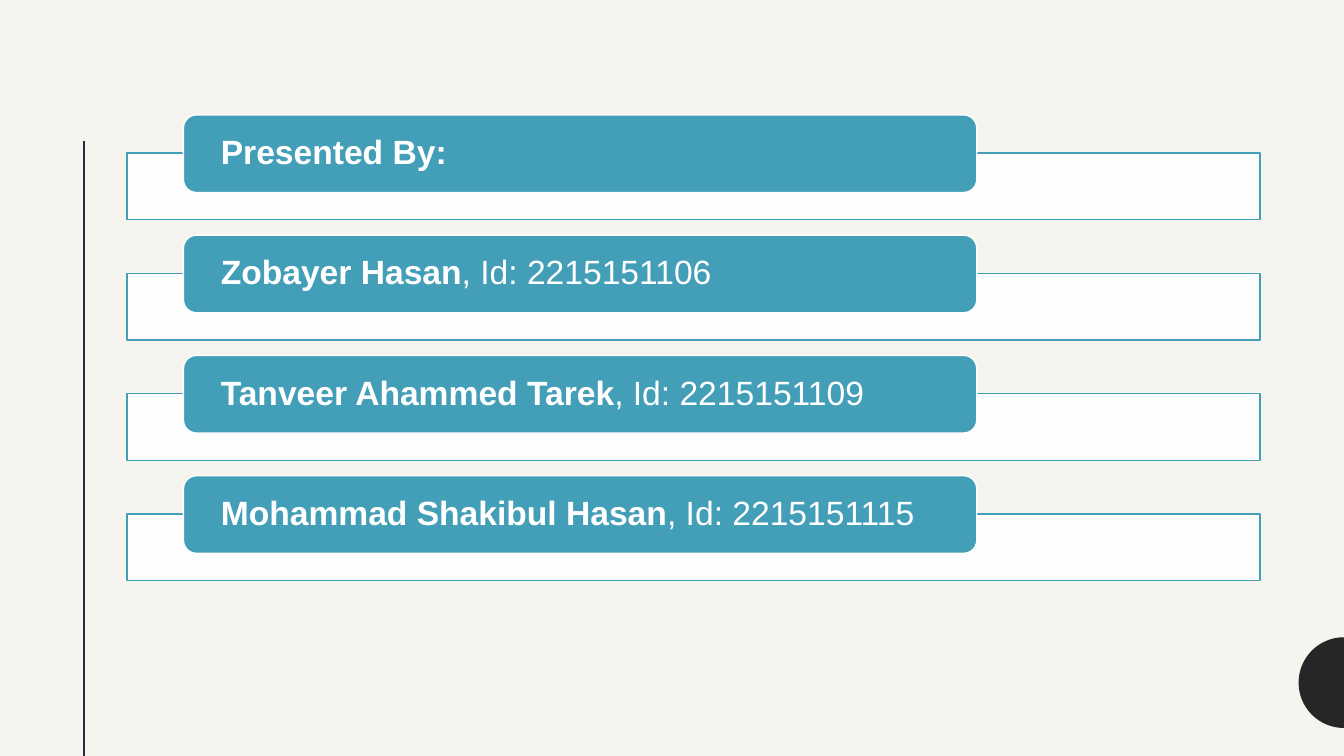
from dataclasses import dataclass
from math import cos, pi, sin

from lxml import etree
from pptx import Presentation
from pptx.dml.color import RGBColor
from pptx.enum.shapes import MSO_CONNECTOR, MSO_SHAPE
from pptx.enum.text import MSO_ANCHOR, PP_ALIGN
from pptx.oxml.ns import qn
from pptx.shapes.autoshape import Shape
from pptx.slide import Slide
from pptx.util import Inches, Pt

RECTANGLE, ROUNDED = MSO_SHAPE.RECTANGLE, MSO_SHAPE.ROUNDED_RECTANGLE
STRAIGHT = MSO_CONNECTOR.STRAIGHT
MIDDLE, LEFT = MSO_ANCHOR.MIDDLE, PP_ALIGN.LEFT

CREAM = RGBColor(0xF6, 0xF4, 0xEF)
NAVY = RGBColor(0x23, 0x2C, 0x41)
CHARCOAL = RGBColor(0x26, 0x26, 0x26)
TEAL = RGBColor(0x43, 0x9E, 0xB7)
WHITE = RGBColor(0xFF, 0xFF, 0xFF)

SLIDE_WIDTH, SLIDE_HEIGHT = Inches(13.33), Inches(7.5)
ROW_PITCH = 15.91  # percent of the slide's height
ARC_STEPS = 48


@dataclass(frozen=True)
class Box:
    """A place on the slide, in percent of its width and height."""
    left: float
    top: float
    width: float
    height: float


@dataclass(frozen=True)
class Presenter:
    bold_part: str
    plain_part: str = ""


BAND = Box(9.45, 20.27, 84.3, 8.8)
LABEL = Box(13.65, 15.2, 59.03, 10.27)

PRESENTERS = [
    Presenter("Presented By:"),
    Presenter("Zobayer Hasan", ", Id: 2215151106"),
    Presenter("Tanveer Ahammed Tarek", ", Id: 2215151109"),
    Presenter("Mohammad Shakibul Hasan", ", Id: 2215151115"),
]


def across(percent: float) -> int:
    return round(SLIDE_WIDTH * percent / 100)


def down(percent: float) -> int:
    return round(SLIDE_HEIGHT * percent / 100)


def add_box(slide: Slide, kind: int, box: Box, row: int,
            fill: RGBColor, outline: RGBColor) -> Shape:
    shape = slide.shapes.add_shape(
        kind, across(box.left), down(box.top + row * ROW_PITCH),
        across(box.width), down(box.height))
    shape.shadow.inherit = False
    shape.fill.solid()
    shape.fill.fore_color.rgb = fill
    shape.line.color.rgb = outline
    shape.line.width = Pt(1)
    return shape


def add_presenter(slide: Slide, row: int, presenter: Presenter) -> None:
    # Translucent band behind the label
    band = add_box(slide, RECTANGLE, BAND, row, WHITE, TEAL)
    band_color = band.fill._xPr.find(qn("a:solidFill"))[0]
    etree.SubElement(band_color, qn("a:alpha"), val="90000")

    # Label with the name in bold
    label = add_box(slide, ROUNDED, LABEL, row, TEAL, WHITE)
    frame = label.text_frame
    frame.word_wrap = True
    frame.vertical_anchor = MIDDLE
    frame.margin_left = frame.margin_right = across(2.5)
    frame.margin_top = frame.margin_bottom = 0
    line = frame.paragraphs[0]
    line.alignment = LEFT
    line.line_spacing = 0.9
    line.font.name = "Arial"
    line.font.size = Pt(24)
    line.font.color.rgb = WHITE
    name = line.add_run()
    name.text = presenter.bold_part
    name.font.bold = True
    if presenter.plain_part:
        line.add_run().text = presenter.plain_part


def add_side_rule(slide: Slide) -> None:
    rule = slide.shapes.add_connector(
        STRAIGHT, across(6.25), down(18.67), across(6.25), SLIDE_HEIGHT)
    rule.line.color.rgb = NAVY
    rule.line.width = Pt(1.5)
    etree.SubElement(rule._element.spPr, qn("a:effectLst"))


def add_half_disc(slide: Slide) -> None:
    center_y, radius = down(90.3), down(6)
    arc = [(round(SLIDE_WIDTH - radius * sin(pi * step / ARC_STEPS)),
            round(center_y - radius * cos(pi * step / ARC_STEPS)))
           for step in range(ARC_STEPS + 1)]
    builder = slide.shapes.build_freeform(*arc[0])
    builder.add_line_segments(arc[1:], close=True)
    half_disc = builder.convert_to_shape()
    half_disc.shadow.inherit = False
    half_disc.fill.solid()
    half_disc.fill.fore_color.rgb = CHARCOAL
    half_disc.line.fill.background()


def main() -> None:
    deck = Presentation()
    deck.slide_width, deck.slide_height = SLIDE_WIDTH, SLIDE_HEIGHT
    slide = deck.slides.add_slide(deck.slide_layouts[6])

    # Backdrop and decoration
    slide.background.fill.solid()
    slide.background.fill.fore_color.rgb = CREAM
    add_side_rule(slide)
    add_half_disc(slide)

    # Presenter list
    for row, presenter in enumerate(PRESENTERS):
        add_presenter(slide, row, presenter)

    deck.save("out.pptx")


if __name__ == "__main__":
    main()
